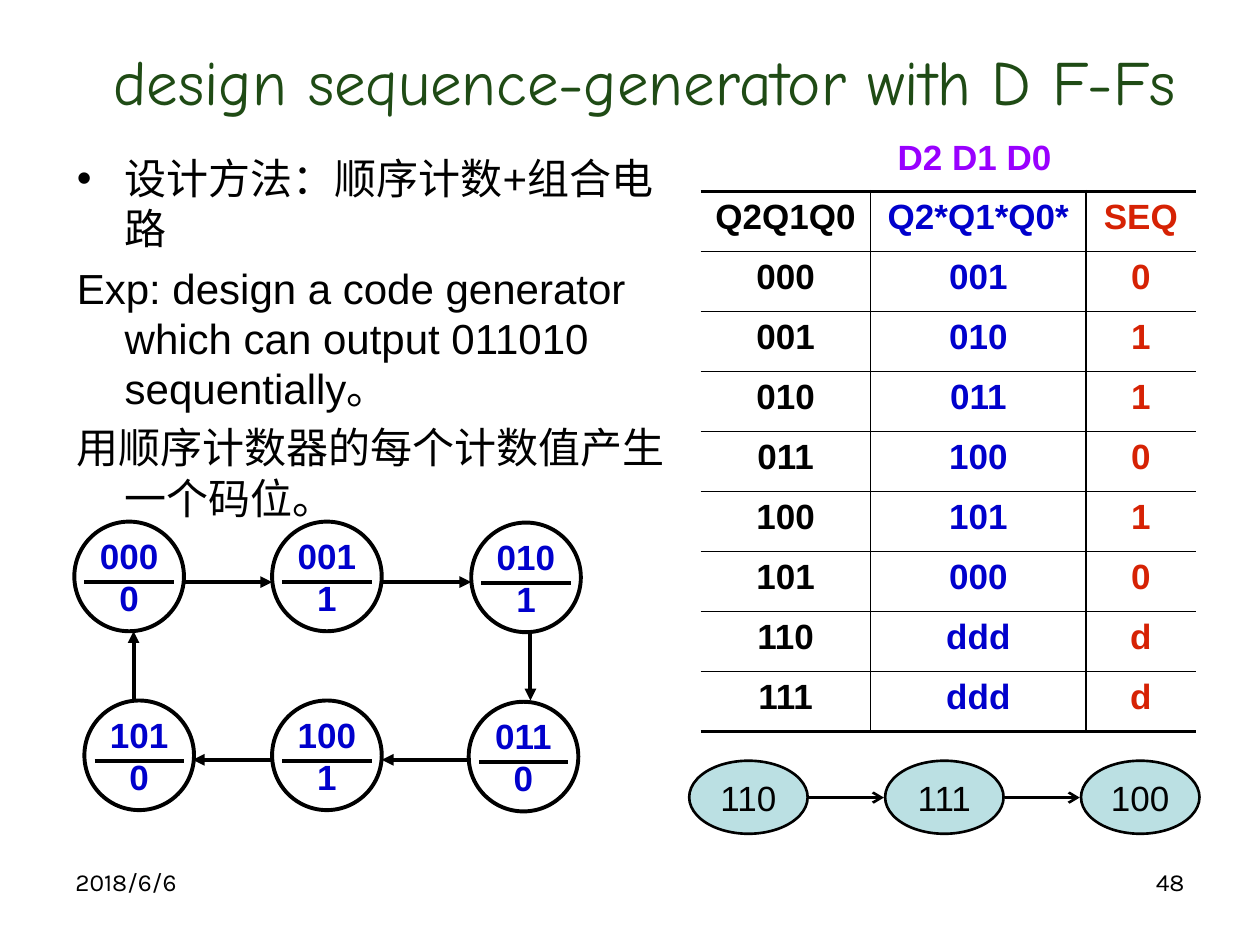
from pptx import Presentation
from pptx.dml.color import RGBColor as Rgb
from pptx.enum.shapes import MSO_CONNECTOR as Link, MSO_SHAPE as Preset
from pptx.enum.text import MSO_ANCHOR as Anchor, MSO_AUTO_SIZE as AutoSize, PP_ALIGN as Align
from pptx.oxml.ns import qn
from pptx.util import Inches, Pt
from lxml.etree import SubElement as Sub

WIDTH, HEIGHT = Inches(10), Inches(7.5)
COLORS = {"black": "000000", "blue": "0000CC", "red": "D62204", "green": "1F4B15",
          "purple": "9900FF", "aqua": "BBE0E3"}
FORMATS = {
    "title": {"size": Pt(36), "name": "Comic Neue", "color": "green"},
    "body": {"size": Pt(24), "name": "Arial", "color": "black"},
    "footer": {"size": Pt(14), "name": "Karla", "color": "black"},
    "state": {"size": Pt(20), "name": "Arial", "bold": True, "color": "blue"},
    "unused": {"size": Pt(20), "name": "Arial", "color": "black"},
    "inputs": {"size": Pt(20), "name": "Arial", "bold": True, "color": "purple"},
}
METHOD = [
    ("设计方法：顺序计数+组合电路", True),
    ("Exp: design a code generator which can output 011010 sequentially。", False),
    ("用顺序计数器的每个计数值产生一个码位。", False),
]
TRANSITIONS = [
    ("Q2Q1Q0", "Q2*Q1*Q0*", "SEQ"),
    ("000", "001", "0"), ("001", "010", "1"), ("010", "011", "1"),
    ("011", "100", "0"), ("100", "101", "1"), ("101", "000", "0"),
    ("110", "ddd", "d"), ("111", "ddd", "d"),
]
STATES = [
    ("000", "0", 5.9, 55.2), ("001", "1", 21.6, 55.2), ("010", "1", 37.4, 55.3),
    ("011", "0", 37.2, 74.27), ("100", "1", 21.6, 74.13), ("101", "0", 6.7, 74.13),
]
STEPS = [
    (14.6, 61.6, 21.6, 61.6), (30.3, 61.6, 37.4, 61.6), (42.1, 66.8, 42.1, 74.13),
    (37.4, 80.4, 30.3, 80.4), (21.6, 80.4, 15.3, 80.4), (10.6, 74.13, 10.6, 66.8),
]


def across(percent):
    return round(WIDTH * percent / 100)


def down(percent):
    return round(HEIGHT * percent / 100)


def area(left, top, width, height):
    return across(left), down(top), across(width), down(height)


def place(shape, *percents):
    for name, value in zip(("left", "top", "width", "height"), area(*percents)):
        setattr(shape, name, value)


def write(para, text, style, align=None):
    for number, line in enumerate(text.split("\n")):
        if number:
            para.add_line_break()
        span = para.add_run()
        span.text = line
        for name, value in style.items():
            if name == "color":
                span.font.color.rgb = Rgb.from_string(COLORS[value])
            else:
                setattr(span.font, name, value)
    para.alignment = align


def add_label(page, text, bounds, style, align):
    box = page.shapes.add_textbox(*area(*bounds))
    box.text_frame.word_wrap = True
    write(box.text_frame.paragraphs[0], text, style, align)


def add_ellipse(shapes, text, bounds, style, weight, fill=None):
    oval = shapes.add_shape(Preset.OVAL, *area(*bounds))
    oval.shadow.inherit = False
    if fill:
        oval.fill.solid()
        oval.fill.fore_color.rgb = Rgb.from_string(COLORS[fill])
    else:
        oval.fill.background()
    oval.line.color.rgb = Rgb.from_string(COLORS["black"])
    oval.line.width = Pt(weight)
    frame = oval.text_frame
    frame.word_wrap = False
    frame.vertical_anchor = Anchor.MIDDLE
    write(frame.paragraphs[0], text, style, Align.CENTER)


def add_line(shapes, left, top, right, bottom, weight, head=None):
    line = shapes.add_connector(Link.STRAIGHT, across(left), down(top), across(right), down(bottom))
    line.line.color.rgb = Rgb.from_string(COLORS["black"])
    line.line.width = Pt(weight)
    if head:
        Sub(line.line._get_or_add_ln(), qn("a:tailEnd"), type=head)
    Sub(line._element.spPr, qn("a:effectLst"))


def add_state(page, code, output, left, top):
    shapes = page.shapes.add_group_shape().shapes
    add_ellipse(shapes, f"{code}\n{output}", (left, top, 8.7, 11.6), FORMATS["state"], 2.25)
    add_line(shapes, left + 0.8, top + 6.4, left + 7.9, top + 6.4, 2.25)


def add_unused_states(page):
    shapes = page.shapes.add_group_shape().shapes
    for column, code in enumerate(("110", "111", "100")):
        left = 54.7 + 15.55 * column
        add_ellipse(shapes, code, (left, 80.5, 9.4, 7.73), FORMATS["unused"], 1.5, "aqua")
        if column < 2:
            add_line(shapes, left + 9.5, 84.4, left + 15.45, 84.4, 1.5, "arrow")


def set_border(cell, side, weight):
    edge = Sub(cell._tc.get_or_add_tcPr(), qn(f"a:ln{side}"), w=str(Pt(weight)))
    if weight:
        Sub(Sub(edge, qn("a:solidFill")), qn("a:srgbClr"), val=COLORS["black"])
    else:
        Sub(edge, qn("a:noFill"))


def add_transitions(page):
    last_row, last_column = len(TRANSITIONS) - 1, 2
    frame = page.shapes.add_table(last_row + 1, 3, *area(55.6, 20.27, 39.3, 57.2))
    table = frame.table
    table.first_row = table.horz_banding = False
    for column, share in zip(table.columns, (13.5, 17.1, 8.7)):
        column.width = across(share)
    for row, texts in enumerate(TRANSITIONS):
        for column, (text, color) in enumerate(zip(texts, ("black", "blue", "red"))):
            cell = table.cell(row, column)
            write(cell.text_frame.paragraphs[0], text, {**FORMATS["state"], "color": color}, Align.CENTER)
            set_border(cell, "L", 1 if column else 0)
            set_border(cell, "R", 1 if column < last_column else 0)
            set_border(cell, "T", 1 if row else 2.25)
            set_border(cell, "B", 1 if row < last_row else 2.25)
            cell.fill.background()


def fill_title(title):
    place(title, 4.3, 3.73, 93.7, 9.47)
    title.text_frame.auto_size = AutoSize.NONE
    title.text_frame.vertical_anchor = Anchor.MIDDLE
    write(title.text_frame.paragraphs[0], "design sequence-generator with D F-Fs",
          FORMATS["title"], Align.CENTER)


def fill_body(body):
    place(body, 5.1, 15.47, 49.3, 77.07)
    frame = body.text_frame
    frame.auto_size = AutoSize.NONE
    for number, (text, bulleted) in enumerate(METHOD):
        para = frame.add_paragraph() if number else frame.paragraphs[0]
        props = para._p.get_or_add_pPr()
        props.set("marL", str(Inches(0.38)))
        props.set("indent", str(Inches(-0.38)))
        if bulleted:
            Sub(props, qn("a:buFont"), typeface="Arial")
            Sub(props, qn("a:buChar"), char="•")
        else:
            Sub(props, qn("a:buNone"))
        para.space_before = Pt(5 if number else 0)
        write(para, text, FORMATS["body"], Align.LEFT)


def main():
    deck = Presentation()
    deck.slide_width, deck.slide_height = WIDTH, HEIGHT
    page = deck.slides.add_slide(deck.slide_layouts[1])
    add_label(page, "2018/6/6", (5, 91.07, 23.3, 6.93), FORMATS["footer"], Align.LEFT)
    add_label(page, "48", (71.7, 91.07, 23.3, 6.93), FORMATS["footer"], Align.RIGHT)
    fill_title(page.shapes.title)
    fill_body(page.placeholders[1])
    for state in STATES:
        add_state(page, *state)
    for step in STEPS:
        add_line(page.shapes, *step, 2.25, "triangle")
    add_transitions(page)
    add_label(page, "D2 D1 D0", (68.9, 13.73, 16.9, 5.73), FORMATS["inputs"], Align.CENTER)
    add_unused_states(page)
    deck.save("out.pptx")


if __name__ == "__main__":
    main()
